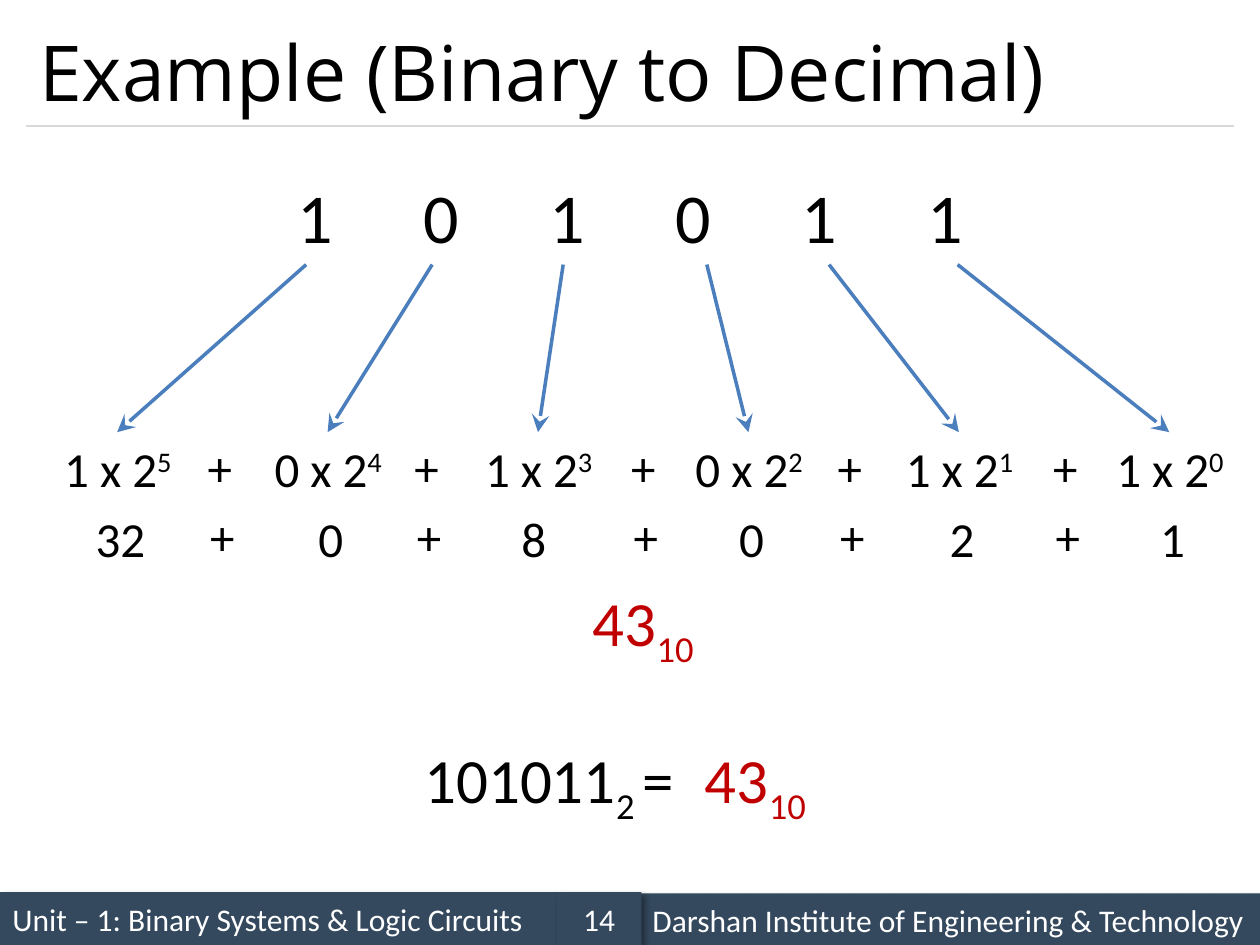
from dataclasses import dataclass

from lxml import etree
from pptx import Presentation
from pptx.dml.color import RGBColor
from pptx.enum.shapes import MSO_CONNECTOR, MSO_SHAPE
from pptx.enum.text import MSO_ANCHOR, MSO_AUTO_SIZE, PP_ALIGN
from pptx.oxml.ns import qn
from pptx.util import Pt

STRAIGHT = MSO_CONNECTOR.STRAIGHT
RECTANGLE = MSO_SHAPE.RECTANGLE
MIDDLE, TOP = MSO_ANCHOR.MIDDLE, MSO_ANCHOR.TOP
LEFT, CENTER = PP_ALIGN.LEFT, PP_ALIGN.CENTER
NO_AUTOFIT = MSO_AUTO_SIZE.NONE
SCALE = 9144  # EMU per px, 100 px to the inch
SUPER, SUB = 30000, -25000


@dataclass(frozen=True)
class Theme:
    ink: str = "000000"
    result: str = "C00000"
    arrow: str = "4B7EBC"
    rule: str = "D9D9D9"
    bar: str = "34495E"
    bar_text: str = "FFFFFF"
    title_font: str = "Open Sans"
    body_font: str = "Calibri"
    title_size: int = 44
    digit_size: int = 40
    result_size: int = 36
    term_size: int = 28
    footer_size: int = 18


THEME = Theme()


def px(*lengths):
    return [round(length * SCALE) for length in lengths]


def write(frame, *parts, size, color=THEME.ink, font=THEME.body_font,
          align=CENTER, anchor=TOP, tab_pitch=None):
    """Write one paragraph; a part is text or a (text, baseline) pair."""
    frame.auto_size = NO_AUTOFIT
    frame.word_wrap = True
    frame.vertical_anchor = anchor
    paragraph = frame.paragraphs[0]
    paragraph.alignment = align
    if tab_pitch:
        paragraph._p.get_or_add_pPr().set("defTabSz", str(tab_pitch * SCALE))
    for part in parts:
        text, baseline = (part, 0) if isinstance(part, str) else part
        run = paragraph.add_run()
        run.text = text
        run.font.size = Pt(size)
        run.font.name = font
        run.font.color.rgb = RGBColor.from_string(color)
        if baseline:
            run._r.get_or_add_rPr().set("baseline", str(baseline))


def add_text(slide, box, *parts, **style):
    write(slide.shapes.add_textbox(*px(*box)).text_frame, *parts, **style)


def add_line(slide, start, end, color, width, arrow=False):
    line = slide.shapes.add_connector(STRAIGHT, *px(*start, *end))
    line.line.color.rgb = RGBColor.from_string(color)
    line.line.width = Pt(width)
    if arrow:
        etree.SubElement(line.line._get_or_add_ln(), qn("a:tailEnd"),
                         type="stealth", w="lg", len="lg")
    etree.SubElement(line._element.spPr, qn("a:effectLst"))


def add_bar(slide, box, text, align):
    bar = slide.shapes.add_shape(RECTANGLE, *px(*box))
    bar.fill.solid()
    bar.fill.fore_color.rgb = RGBColor.from_string(THEME.bar)
    bar.line.fill.background()
    bar.shadow.inherit = False
    effects = bar._element.spPr.find(qn("a:effectLst"))
    shadow = etree.SubElement(effects, qn("a:outerShdw"), blurRad=str(Pt(4)),
                              dist=str(Pt(3)), dir="2700000", algn="tl", rotWithShape="0")
    shade = etree.SubElement(shadow, qn("a:srgbClr"), val="000000")
    etree.SubElement(shade, qn("a:alpha"), val="40000")
    write(bar.text_frame, text, size=THEME.footer_size, color=THEME.bar_text,
          align=align, anchor=MIDDLE)


def add_header(slide, box, text):
    left, top, width, height = box
    title = slide.shapes.title
    title.left, title.top, title.width, title.height = px(*box)
    write(title.text_frame, text, size=THEME.title_size, font=THEME.title_font,
          align=LEFT, anchor=MIDDLE)
    base = top + height
    add_line(slide, (left, base), (left + width, base), THEME.rule, 0.75)


def add_expansion(slide, box, digits):
    """Digits on top, arrows to their weighted terms, then the values."""
    left, top, width, _ = box
    term_width, plus_width, row_height, pitch = 129, 41, 57, 167
    term_lefts = [left + 8 + pitch * i for i in range(len(digits))]
    arrow_starts = [222, 322, 426, 540, 637, 739]
    plus_lefts = [133, 297, 469, 633, 804]
    value_nudges = [2, 2, -4, 2, 2, 2]
    arrow_top, term_top, value_top = top + 77, top + 210, top + 266

    add_text(slide, (left, top, width, 77), "\t".join(digits),
             size=THEME.digit_size, tab_pitch=100)
    for i, digit in enumerate(digits):
        power = len(digits) - 1 - i
        term_left = term_lefts[i]
        add_line(slide, (left + arrow_starts[i], arrow_top),
                 (term_left + term_width // 2, term_top), THEME.arrow, 2, arrow=True)
        add_text(slide, (term_left, term_top, term_width, row_height),
                 f"{digit} x 2", (str(power), SUPER), size=THEME.term_size)
        add_text(slide, (term_left + value_nudges[i], value_top, term_width, row_height),
                 str(int(digit) * 2 ** power), size=THEME.term_size)

    # Plus signs of both rows, the second one slightly to the right
    for nudge, row_top in ((0, term_top - 1), (2, value_top - 2)):
        for plus_left in plus_lefts:
            add_text(slide, (left + plus_left + nudge, row_top, plus_width, row_height),
                     "+", size=THEME.term_size)


def add_results(slide, box, digits):
    """The sum, and below it the full equation."""
    left, top, _, _ = box
    equation_top, height = top + 125, 71
    decimal = (str(int(digits, 2)), ("10", SUB))
    for x, y in ((left + 121, top), (left + 210, equation_top)):
        add_text(slide, (x, y, 129, height), *decimal,
                 size=THEME.result_size, color=THEME.result)
    add_text(slide, (left, equation_top, 222, height), digits, ("2 ", SUB), "=",
             size=THEME.result_size)


def add_footer(slide, box, unit, institute, number):
    left, top, width, height = box
    number_left, institute_left = left + 442, left + 508
    add_bar(slide, (left, top, number_left - left, height), unit, LEFT)
    add_bar(slide, (institute_left, top + 1, left + width - institute_left, height),
            institute, LEFT)
    add_bar(slide, (number_left, top, 67, height), number, CENTER)


def main():
    deck = Presentation()
    deck.slide_width, deck.slide_height = px(1000, 750)
    slide = deck.slides.add_slide(deck.slide_layouts[5])
    digits = "101011"
    add_footer(slide, (0, 708, 1000, 42), "Unit – 1: Binary Systems & Logic Circuits",
               "Darshan Institute of Engineering & Technology", "14")
    add_header(slide, (21, 12, 958, 88), "Example (Binary to Decimal)")
    add_expansion(slide, (21, 133, 958, 323), digits)
    add_results(slide, (325, 458, 339, 196), digits)
    deck.save("out.pptx")


if __name__ == "__main__":
    main()
